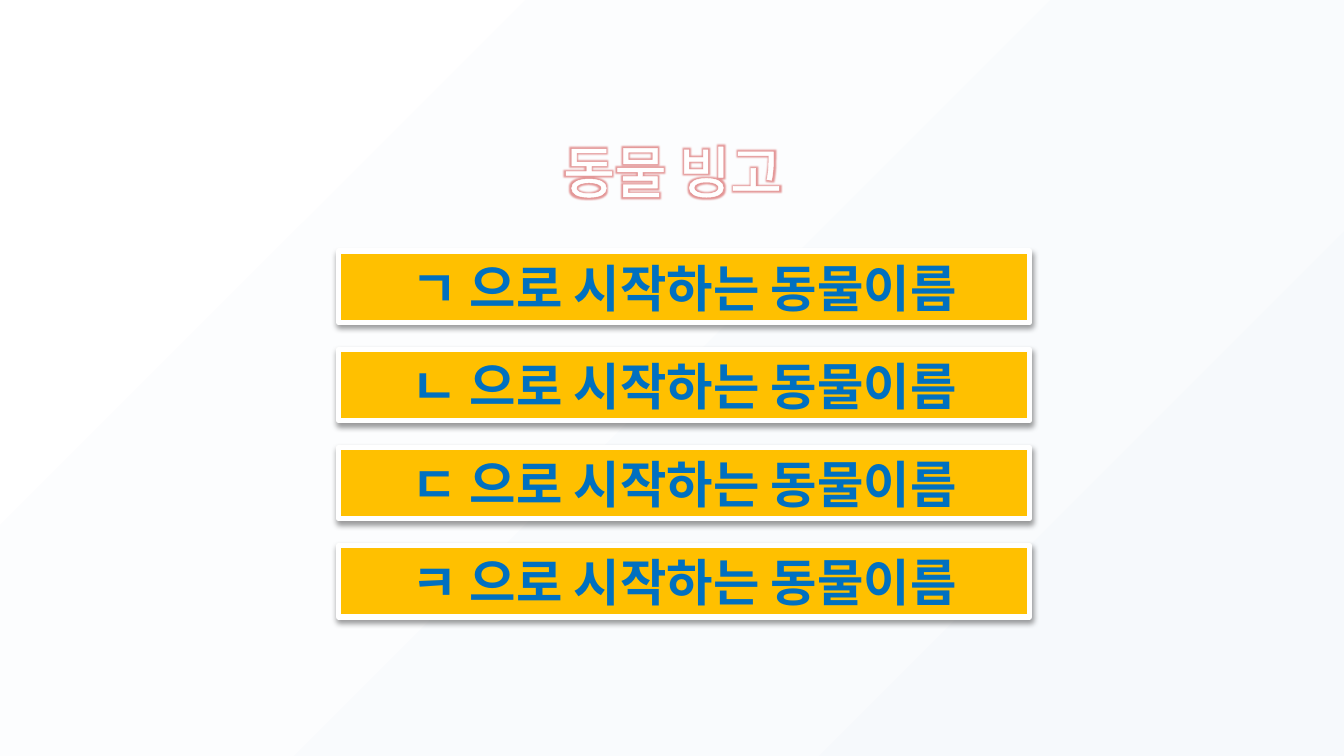
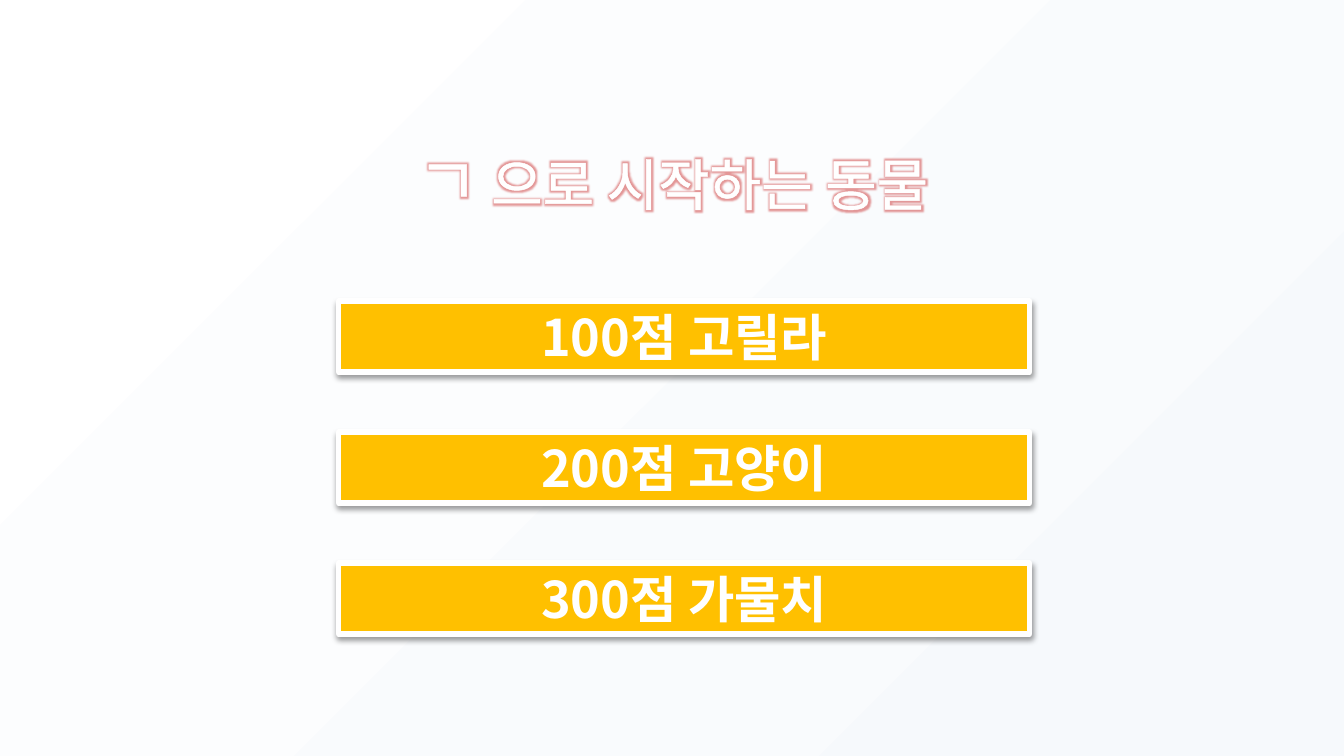
from dataclasses import dataclass

from lxml.etree import fromstring
from pptx import Presentation
from pptx.dml.color import RGBColor
from pptx.enum.shapes import MSO_SHAPE
from pptx.enum.text import MSO_ANCHOR, MSO_AUTO_SIZE, PP_ALIGN
from pptx.oxml.ns import qn
from pptx.util import Pt

DRAWING_NS = 'xmlns:a="http://schemas.openxmlformats.org/drawingml/2006/main"'


@dataclass(frozen=True)
class Theme:
    """Colours, font and type sizes shared by the slides."""

    font: str = "Noto Sans CJK KR"
    white: str = "FFFFFF"
    mist: str = "F6F9FC"
    amber: str = "FFC000"
    blue: str = "0070C0"
    glow: str = "D45353"
    shadow: str = "000000"
    title_size: float = 30
    initial_size: float = 36
    bar_size: float = 27


@dataclass(frozen=True)
class Box:
    """A rectangle in points."""

    left: float
    top: float
    width: float
    height: float

    def lengths(self):
        """Return the four sides as lengths."""
        return [Pt(side) for side in (self.left, self.top, self.width, self.height)]


THEME = Theme()
BAR_HEIGHT = 38.16


def drawing(markup):
    """Parse a piece of drawing markup."""
    head, rest = markup.split(" ", 1)
    return fromstring(f"{head} {DRAWING_NS} {rest}")


def style_run(run, size, colour, bold=False):
    """Give a run its font, size and colour."""
    run.font.size = Pt(size)
    run.font.bold = bold
    run.font.color.rgb = RGBColor.from_string(colour)
    run.font.name = THEME.font
    run.font._element.append(drawing(f'<a:ea typeface="{THEME.font}"/>'))


def add_halo(run):
    """Outline a run in white and surround it with a soft red glow."""
    properties = run.font._element
    properties.insert(0, drawing(
        f'<a:ln w="{Pt(1.45)}"><a:solidFill><a:srgbClr val="{THEME.white}"/>'
        '</a:solidFill></a:ln>'))
    properties.find(qn("a:solidFill")).addnext(drawing(
        f'<a:effectLst ><a:glow rad="{Pt(5)}"><a:srgbClr val="{THEME.glow}">'
        '<a:alpha val="60000"/></a:srgbClr></a:glow></a:effectLst>'))


def paint_background(slide):
    """Fade the slide from mist at bottom right to white at top left."""
    fill = slide.background.fill
    fill.gradient()
    fill.gradient_angle = 135
    for stop, position, colour in zip(fill.gradient_stops, (0, 1), (THEME.mist, THEME.white)):
        stop.position = position
        stop.color.rgb = RGBColor.from_string(colour)


def add_title(slide, box, parts):
    """Write the glowing title from pairs of text and size."""
    frame = slide.shapes.add_textbox(*box.lengths()).text_frame
    frame.word_wrap = True
    frame.auto_size = MSO_AUTO_SIZE.SHAPE_TO_FIT_TEXT
    frame.vertical_anchor = MSO_ANCHOR.MIDDLE
    heading = frame.paragraphs[0]
    heading.alignment = PP_ALIGN.CENTER
    heading.line_spacing = 1.2
    for text, size in parts:
        run = heading.add_run()
        run.text = text
        style_run(run, size, THEME.white)
        add_halo(run)


def add_bar(slide, box, label, colour):
    """Draw one amber bar with a white frame, a shadow and a label."""
    bar = slide.shapes.add_shape(MSO_SHAPE.RECTANGLE, *box.lengths())
    bar.fill.solid()
    bar.fill.fore_color.rgb = RGBColor.from_string(THEME.amber)
    bar.line.color.rgb = RGBColor.from_string(THEME.white)
    bar.line.width = Pt(3)
    bar.shadow.inherit = False
    bar._element.spPr.find(qn("a:effectLst")).append(drawing(
        f'<a:outerShdw blurRad="{Pt(3.1)}" dist="{Pt(1.6)}" dir="5400000" rotWithShape="0">'
        f'<a:srgbClr val="{THEME.shadow}"><a:alpha val="38000"/></a:srgbClr></a:outerShdw>'))
    frame = bar.text_frame
    frame.word_wrap = True
    frame.vertical_anchor = MSO_ANCHOR.MIDDLE
    frame.margin_left = frame.margin_right = Pt(5.76)
    frame.margin_top = frame.margin_bottom = Pt(2.88)
    frame.text = label
    frame.paragraphs[0].alignment = PP_ALIGN.CENTER
    style_run(frame.paragraphs[0].runs[0], THEME.bar_size, colour, bold=True)


def add_bars(slide, box, labels, colour):
    """Spread the bars evenly from the top to the bottom of the box."""
    pitch = (box.height - BAR_HEIGHT) / (len(labels) - 1)
    for row, label in enumerate(labels):
        place = Box(box.left, box.top + row * pitch, box.width, BAR_HEIGHT)
        add_bar(slide, place, label, colour)


def add_bingo_slide(deck, title_parts, title_height, labels, bars_box, colour):
    """Add a slide with a title above a column of bars."""
    slide = deck.slides.add_slide(deck.slide_layouts[6])
    paint_background(slide)
    add_title(slide, Box(194.4, 64.8, 331.92, title_height), title_parts)
    add_bars(slide, bars_box, labels, colour)


def main():
    """Build the animal bingo deck."""
    deck = Presentation()
    deck.slide_width, deck.slide_height = Pt(720), Pt(405)
    add_bingo_slide(
        deck, [("동물 빙고", THEME.title_size)], 46.08,
        [f"{initial} 으로 시작하는 동물이름" for initial in "ㄱㄴㄷㅋ"],
        Box(181.44, 134.64, 370.08, 195.84), THEME.blue)
    add_bingo_slide(
        deck, [("ㄱ", THEME.initial_size), (" 으로 시작하는 동물", THEME.title_size)], 53.28,
        ["100점 고릴라", "200점 고양이", "300점 가물치"],
        Box(181.44, 161.28, 370.08, 178.56), THEME.white)
    deck.save("out.pptx")


if __name__ == "__main__":
    main()
